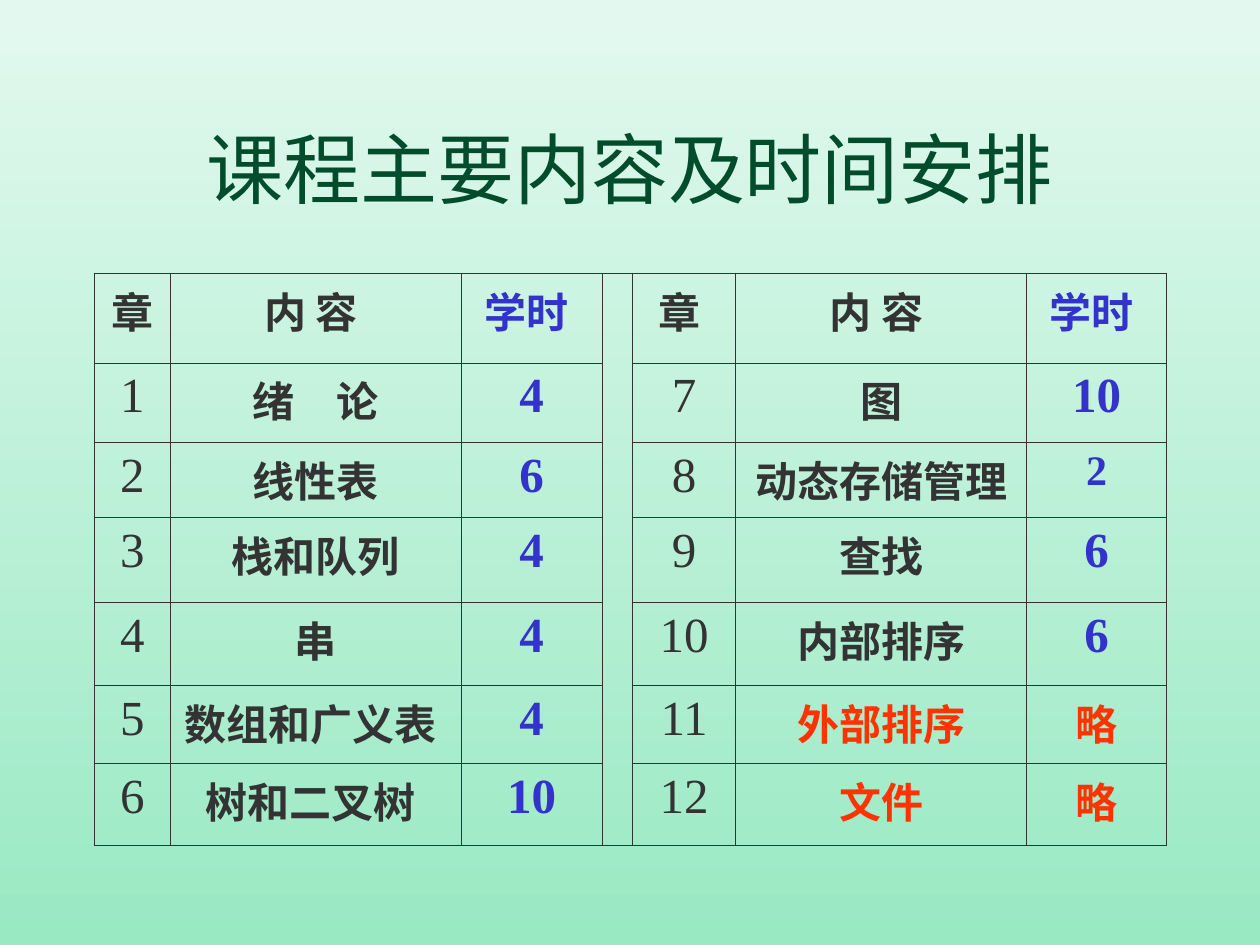
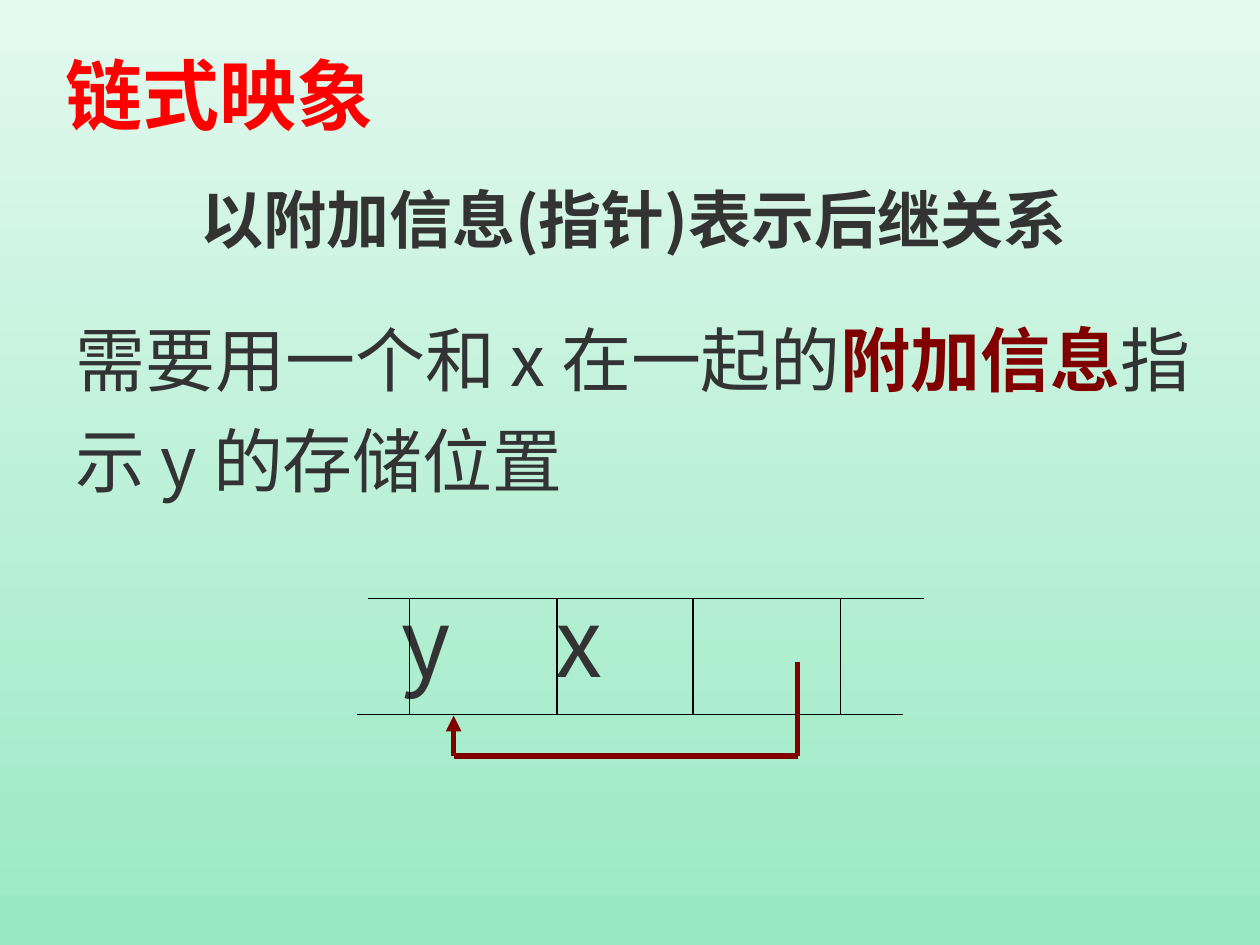
from lxml.etree import SubElement
from pptx import Presentation
from pptx.dml.color import RGBColor
from pptx.enum.shapes import MSO_CONNECTOR
from pptx.enum.text import MSO_ANCHOR, PP_ALIGN
from pptx.oxml.ns import qn
from pptx.util import Inches, Pt

MINT_LIGHT = RGBColor(0xE3, 0xF9, 0xEF)
MINT = RGBColor(0x99, 0xE9, 0xC3)
FOREST = RGBColor(0x00, 0x4C, 0x2B)
INK = RGBColor(0x33, 0x33, 0x33)
BLACK = RGBColor(0x00, 0x00, 0x00)
BLUE = RGBColor(0x33, 0x33, 0xCC)
ORANGE = RGBColor(0xFF, 0x33, 0x00)
RED = RGBColor(0xFF, 0x00, 0x00)
MAROON = RGBColor(0x80, 0x00, 0x00)
SERIF = "Times New Roman"
SANS = "Noto Sans CJK SC"
THIN, THICK = 0.45, 1.08

HEADER = ("章", "内 容 ", "学时 ")
CHAPTERS = [
    ("1", "绪　论", "4"), ("2", "线性表", "6"), ("3", "栈和队列", "4"),
    ("4", "串", "4"), ("5", "数组和广义表 ", "4"), ("6", "树和二叉树 ", "10"),
    ("7", "图", "10"), ("8", "动态存储管理", "2"), ("9", "查找", "6"),
    ("10", "内部排序", "6"), ("11", "外部排序", "略"), ("12", "文件", "略"),
]
OMITTED = "略"
COLUMN_WIDTHS = (0.6, 2.31, 1.12, 0.24, 0.82, 2.31, 1.11)
ROW_HEIGHTS = (0.71, 0.63, 0.6, 0.67, 0.66, 0.62, 0.65)
GAP_COLUMN = 3


class Deck:
    def __init__(self):
        self.prs = Presentation()
        self.prs.slide_width, self.prs.slide_height = Inches(10), Inches(7.5)
        self.slide = None

    def new_slide(self):
        self.slide = self.prs.slides.add_slide(self.prs.slide_layouts[6])
        fill = self.slide.background.fill
        fill.gradient()
        fill.gradient_angle = 270
        for stop, color in zip(fill.gradient_stops, (MINT_LIGHT, MINT)):
            stop.color.rgb = color

    def run(self, paragraph, text, size, color, bold=False, font=SANS):
        run = paragraph.add_run()
        run.text = text
        run.font.size, run.font.bold, run.font.name = Pt(size), bold, font
        run.font.color.rgb = color
        SubElement(run.font._element, qn("a:ea"), typeface=SANS)

    def text(self, box, runs, size, font=SANS, align=PP_ALIGN.LEFT,
             anchor=MSO_ANCHOR.TOP, spacing=None, tab=None):
        frame = self.slide.shapes.add_textbox(*map(Inches, box)).text_frame
        frame.word_wrap = True
        frame.vertical_anchor = anchor
        paragraph = frame.paragraphs[0]
        paragraph.alignment = align
        if spacing:
            paragraph.line_spacing = spacing
        if tab:
            tabs = SubElement(paragraph._p.get_or_add_pPr(), qn("a:tabLst"))
            SubElement(tabs, qn("a:tab"), pos=str(Inches(tab)), algn="l")
        for text, color, bold in runs:
            self.run(paragraph, text, size, color, bold, font)

    def line(self, x1, y1, x2, y2, color=BLACK, width=0.75, arrow_at_start=False):
        connector = self.slide.shapes.add_connector(
            MSO_CONNECTOR.STRAIGHT, *map(Inches, (x1, y1, x2, y2)))
        connector.line.color.rgb = color
        connector.line.width = Pt(width)
        if arrow_at_start:
            SubElement(connector.line._get_or_add_ln(), qn("a:headEnd"), type="triangle")
        SubElement(connector._element.spPr, qn("a:effectLst"))

    def table(self, left, top, widths, heights):
        table = self.slide.shapes.add_table(
            len(heights), len(widths), Inches(left), Inches(top),
            Inches(sum(widths)), Inches(sum(heights))).table
        table.first_row = table.horz_banding = False
        for column, width in zip(table.columns, widths):
            column.width = Inches(width)
        for row, height in zip(table.rows, heights):
            row.height = Inches(height)
        return table

    def cell(self, cell, text, size, color, bold):
        paragraph = cell.text_frame.paragraphs[0]
        paragraph.alignment = PP_ALIGN.CENTER
        self.run(paragraph, text, size, color, bold, SERIF)

    def borders(self, cell, **thick_sides):
        tc_pr = cell._tc.get_or_add_tcPr()
        for side in "LRTB":
            width = THICK if thick_sides.get(side) else THIN
            edge = SubElement(tc_pr, qn("a:ln" + side), w=str(Pt(width)))
            fill = SubElement(edge, qn("a:solidFill"))
            SubElement(fill, qn("a:srgbClr"), val=str(INK))
        cell.fill.background()


def chapter_styles(chapter):
    number, _, hours = chapter
    omitted = hours == OMITTED
    hours_size = 24 if omitted or number == "8" else 28
    return ((28, INK, False),
            (24, ORANGE if omitted else INK, True),
            (hours_size, ORANGE if omitted else BLUE, True))


def schedule_slide(deck):
    deck.new_slide()
    deck.text((0.75, 0.5, 8.5, 1.25), [("课程主要内容及时间安排", FOREST, False)], 44,
              SERIF, PP_ALIGN.CENTER, MSO_ANCHOR.BOTTOM)
    schedule = deck.table(0.75, 2.17, COLUMN_WIDTHS, ROW_HEIGHTS)
    last_row, last_column = len(ROW_HEIGHTS) - 1, len(COLUMN_WIDTHS) - 1
    gap = schedule.cell(0, GAP_COLUMN)
    gap.merge(schedule.cell(last_row, GAP_COLUMN))
    deck.borders(gap, T=True, B=True)

    header_styles = ((24, INK, True), (24, INK, True), (24, BLUE, True))
    for first_column, chapters in ((0, CHAPTERS[:6]), (GAP_COLUMN + 1, CHAPTERS[6:])):
        header = HEADER if first_column == 0 else ("章 ", *HEADER[1:])
        rows = [(header, header_styles)] + [(c, chapter_styles(c)) for c in chapters]
        for row, (texts, styles) in enumerate(rows):
            for column, (text, style) in enumerate(zip(texts, styles), first_column):
                cell = schedule.cell(row, column)
                deck.cell(cell, text, *style)
                deck.borders(cell, L=column == 0, R=column == last_column,
                             T=row == 0, B=row == last_row)


def linked_mapping_slide(deck):
    deck.new_slide()
    deck.text((0.42, 0.33, 3.09, 0.84), [("链式映象", RED, True)], 44)
    deck.text((1.49, 1.38, 7.78, 0.7), [("以附加信息(指针)表示后继关系", INK, True)], 36)
    deck.text((0.5, 2.33, 9.08, 1.7),
              [("需要用一个和 x 在一起的", INK, False), ("附加信息", MAROON, True),
               ("指示 y 的存储位置", INK, False)], 40, spacing=1.2)
    deck.text((3.09, 4.58, 3.36, 1), [("y\tx", INK, False)], 54, tab=1.22)

    memory_top, memory_bottom = 4.75, 5.67
    deck.line(2.92, memory_top, 7.33, memory_top)
    deck.line(2.83, memory_bottom, 7.17, memory_bottom)
    for divider in (3.25, 4.42, 5.5, 6.67):
        deck.line(divider, memory_top, divider, memory_bottom)

    y_cell, pointer_field, turn = 3.6, 6.33, 6
    deck.line(pointer_field, 5.25, pointer_field, turn, MAROON, 3)
    deck.line(y_cell, turn, pointer_field, turn, MAROON, 3)
    deck.line(y_cell, 5.68, y_cell, turn, MAROON, 3, arrow_at_start=True)


def main():
    deck = Deck()
    schedule_slide(deck)
    linked_mapping_slide(deck)
    deck.prs.save("out.pptx")


if __name__ == "__main__":
    main()
